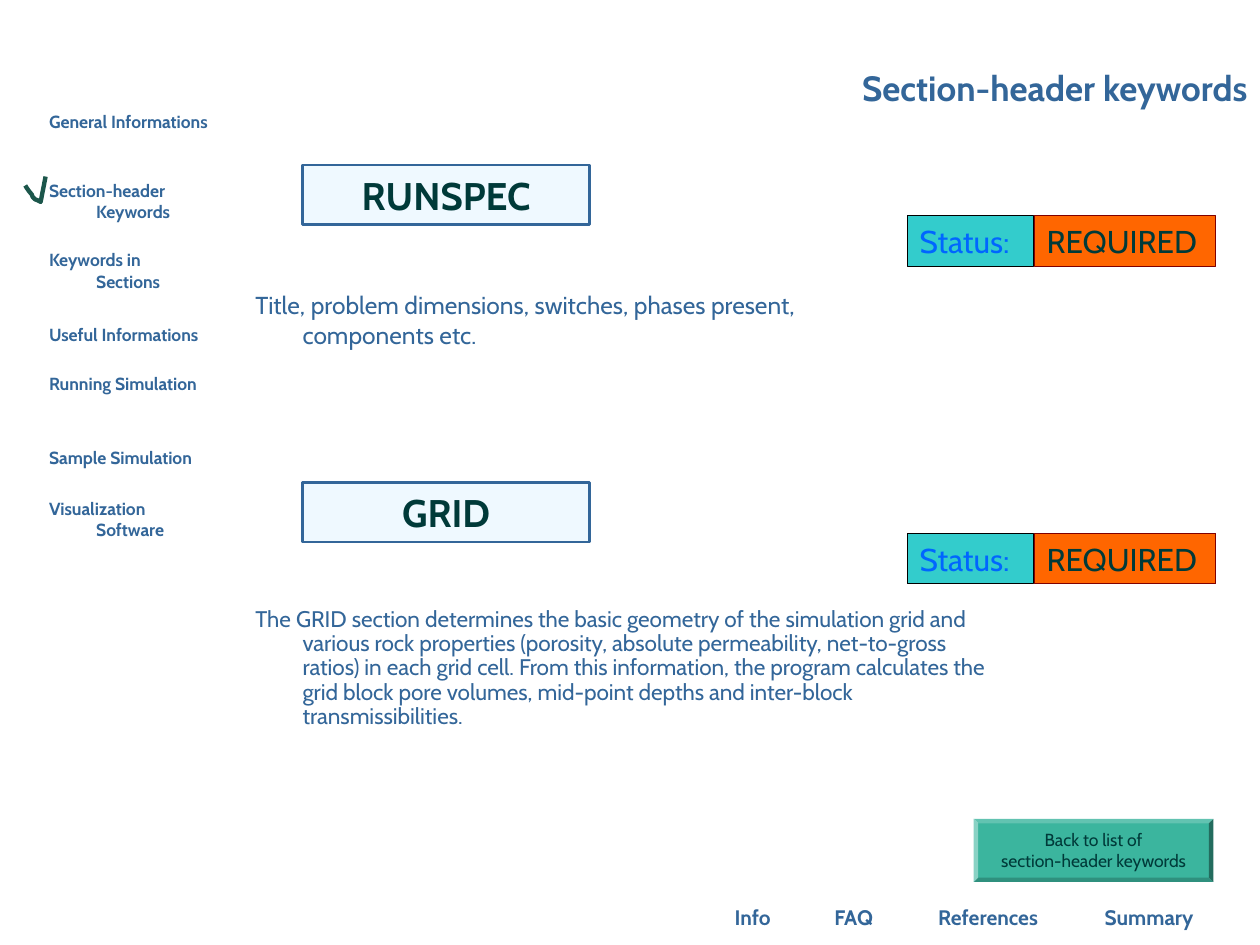
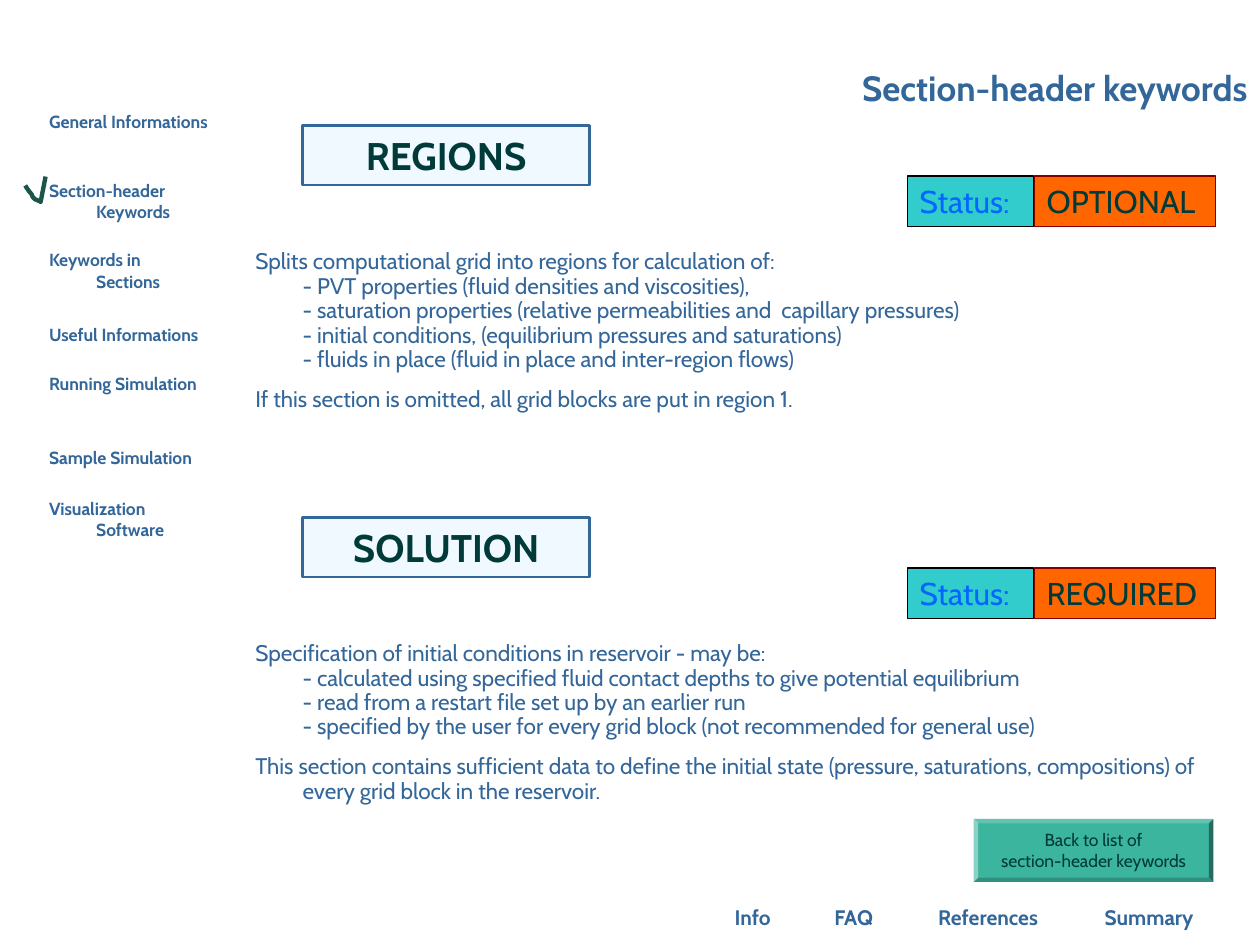
from dataclasses import dataclass

from lxml import etree
from pptx import Presentation
from pptx.dml.color import RGBColor
from pptx.enum.shapes import MSO_SHAPE
from pptx.enum.text import MSO_ANCHOR, PP_ALIGN
from pptx.oxml.ns import qn
from pptx.util import Cm, Pt

RECTANGLE, BEVEL = MSO_SHAPE.RECTANGLE, MSO_SHAPE.BEVEL
TOP, MIDDLE, BOTTOM = MSO_ANCHOR.TOP, MSO_ANCHOR.MIDDLE, MSO_ANCHOR.BOTTOM
LEFT, CENTER, RIGHT = PP_ALIGN.LEFT, PP_ALIGN.CENTER, PP_ALIGN.RIGHT


@dataclass(frozen=True)
class Theme:
    font: str = "Cabin"
    text: str = "336699"
    dark: str = "003A39"
    tick: str = "1C564B"
    keyword_fill: str = "66CCFF"
    keyword_opacity: int = 10
    status_fill: str = "33CCCC"
    status_line: str = "000000"
    status_text: str = "0066FF"
    value_fill: str = "FF6600"
    value_line: str = "800000"
    button: str = "3BB59E"
    title_size: float = 20
    keyword_size: float = 22
    status_size: float = 18
    lead_size: float = 14
    body_size: float = 12.9
    footer_size: float = 12
    small_size: float = 10
    paragraph_gap: float = 8.8
    hanging: float = 0.95


THEME = Theme()

# label, top, width
NAVIGATION = [
    ("General Informations", 2.24, 3.3),
    ("Section-header Keywords", 3.63, 3.07),
    ("Keywords in Sections", 5.03, 3.15),
    ("Useful Informations", 6.53, 3.7),
    ("Running Simulation", 7.52, 3.4),
    ("Sample Simulation", 9.02, 3.4),
    ("Visualization Software", 10.03, 3.1),
]
# label, left, width
FOOTER = [
    ("Info", 14.3, 1.75),
    ("FAQ", 16.46, 1.5),
    ("References", 18.47, 2.9),
    ("Summary", 21.87, 2.59),
]
TICK = [(0.41, 0), (0.31, 0.51), (0.25, 0.48), (0.2, 0.46), (0.15, 0.41),
        (0.13, 0.36), (0.08, 0.3), (0.03, 0.23), (0, 0.18)]


@dataclass(frozen=True)
class Keyword:
    name: str
    status: str
    top: float
    width: float
    paragraphs: tuple
    size: float = THEME.body_size
    spacing: float = 0.9


SLIDES = [
    [
        Keyword("RUNSPEC", "REQUIRED", 3.33, 14,
                ("Title, problem dimensions, switches, phases present, components etc.",),
                THEME.lead_size, 1.0),
        Keyword("GRID", "REQUIRED", 9.73, 15.21, (
            "The GRID section determines the basic geometry of the simulation grid and "
            "various rock properties (porosity, absolute permeability, net-to-gross ratios) "
            "in each grid cell. From this information, the program calculates the grid block "
            "pore volumes, mid-point depths and inter-block transmissibilities.",)),
    ],
    [
        Keyword("REGIONS", "OPTIONAL", 2.53, 17.6, (
            "Splits computational grid into regions for calculation of:\n"
            "- PVT properties (fluid densities and viscosities),\n"
            "- saturation properties (relative permeabilities and  capillary pressures)\n"
            "- initial conditions, (equilibrium pressures and saturations)\n"
            "- fluids in place (fluid in place and inter-region flows)",
            "If this section is omitted, all grid blocks are put in region 1.")),
        Keyword("SOLUTION", "REQUIRED", 10.43, 19.61, (
            "Specification of initial conditions in reservoir - may be:\n"
            "- calculated using specified fluid contact depths to give potential equilibrium\n"
            "- read from a restart file set up by an earlier run\n"
            "- specified by the user for every grid block (not recommended for general use)",
            "This section contains sufficient data to define the initial state (pressure, "
            "saturations, compositions) of every grid block in the reservoir.")),
    ],
]


def rgb(value):
    return RGBColor.from_string(value)


def write(shape, paragraphs, size, color=THEME.text, bold=False, align=LEFT,
          anchor=TOP, hanging=False, spacing=1.0, padded=True):
    """Fill a shape with paragraphs; a newline inside one is a line break."""
    frame = shape.text_frame
    frame.word_wrap = True
    frame.vertical_anchor = anchor
    frame.margin_left = frame.margin_right = Cm(0.25 if padded else 0)
    frame.margin_top = frame.margin_bottom = Cm(0.13 if padded else 0)
    for index, content in enumerate(paragraphs):
        paragraph = frame.add_paragraph() if index else frame.paragraphs[0]
        paragraph.alignment = align
        paragraph.line_spacing = spacing
        paragraph.space_before = Pt(THEME.paragraph_gap if index else 0)
        if hanging:
            properties = paragraph._p.get_or_add_pPr()
            properties.set("marL", str(Cm(THEME.hanging)))
            properties.set("indent", str(-Cm(THEME.hanging)))
        for number, line in enumerate(content.split("\n")):
            if number:
                paragraph.add_line_break()
            run = paragraph.add_run()
            run.text = line
            font = run.font
            font.name, font.size, font.bold = THEME.font, Pt(size), bold
            font.color.rgb = rgb(color)


def add_text(slide, box, paragraphs, size, **style):
    write(slide.shapes.add_textbox(*map(Cm, box)), paragraphs, size, **style)


def add_panel(slide, box, fill, line=None, line_width=0.75, preset=RECTANGLE):
    panel = slide.shapes.add_shape(preset, *map(Cm, box))
    panel.shadow.inherit = False
    panel.fill.solid()
    panel.fill.fore_color.rgb = rgb(fill)
    if line:
        panel.line.color.rgb = rgb(line)
        panel.line.width = Pt(line_width)
    else:
        panel.line.fill.background()
    return panel


def set_opacity(shape, percent):
    color = shape._element.spPr.find(qn("a:solidFill"))[0]
    etree.SubElement(color, qn("a:alpha")).set("val", str(percent * 1000))


def add_tick(slide, left, top):
    points = [(Cm(left + x), Cm(top + y)) for x, y in TICK]
    builder = slide.shapes.build_freeform(*points[0])
    builder.add_line_segments(points[1:], close=False)
    tick = builder.convert_to_shape()
    tick.shadow.inherit = False
    tick.fill.background()
    tick.line.color.rgb = rgb(THEME.tick)
    tick.line.width = Pt(2.5)


def add_navigation(slide, left, current):
    for label, top, width in NAVIGATION:
        add_text(slide, (left, top, width, 0.85), [label], THEME.small_size,
                 bold=True, hanging=True, padded=False)
        if label == current:
            add_tick(slide, left - 0.48, top - 0.07)


def add_footer(slide, top):
    for label, left, width in FOOTER:
        add_text(slide, (left, top, width, 0.76), [label], THEME.footer_size,
                 bold=True, align=CENTER, anchor=BOTTOM)


def add_back_button(slide, box):
    button = add_panel(slide, box, THEME.button, preset=BEVEL)
    button.adjustments[0] = 0.07
    write(button, ["Back to list of\nsection-header keywords"], THEME.small_size,
          color=THEME.dark, align=CENTER, anchor=MIDDLE)


def add_status(slide, left, top, value):
    label_width, value_width, height = 2.54, 3.66, 1.02
    label = add_panel(slide, (left, top, label_width, height),
                      THEME.status_fill, THEME.status_line)
    write(label, ["Status:"], THEME.status_size, color=THEME.status_text, anchor=BOTTOM)
    badge = add_panel(slide, (left + label_width + 0.02, top, value_width, height),
                      THEME.value_fill, THEME.value_line)
    write(badge, [value], THEME.status_size, color=THEME.dark, anchor=BOTTOM)


def add_keyword(slide, left, keyword):
    """Place a keyword's heading, status and description."""
    heading = add_panel(slide, (left + 1.2, keyword.top, 5.79, 1.2),
                        THEME.keyword_fill, THEME.text, 1.5)
    set_opacity(heading, THEME.keyword_opacity)
    write(heading, [keyword.name], THEME.keyword_size, color=THEME.dark,
          bold=True, align=CENTER)
    add_status(slide, left + 13.39, keyword.top + 1.02, keyword.status)
    add_text(slide, (left, keyword.top + 2.39, keyword.width, 3.2), keyword.paragraphs,
             keyword.size, hanging=True, spacing=keyword.spacing)


def add_keyword_slide(presentation, keywords):
    slide = presentation.slides.add_slide(presentation.slide_layouts[6])
    add_footer(slide, 18.11)
    add_navigation(slide, 0.99, "Section-header Keywords")
    add_text(slide, (4.88, 0.91, 20.52, 1.4), ["Section-header keywords"],
             THEME.title_size, bold=True, align=RIGHT, anchor=BOTTOM)
    for keyword in keywords:
        add_keyword(slide, 4.9, keyword)
    add_back_button(slide, (19.63, 16.51, 4.83, 1.27))


def main():
    presentation = Presentation()
    presentation.slide_width, presentation.slide_height = Cm(25.4), Cm(19.05)
    for keywords in SLIDES:
        add_keyword_slide(presentation, keywords)
    presentation.save("out.pptx")


if __name__ == "__main__":
    main()
